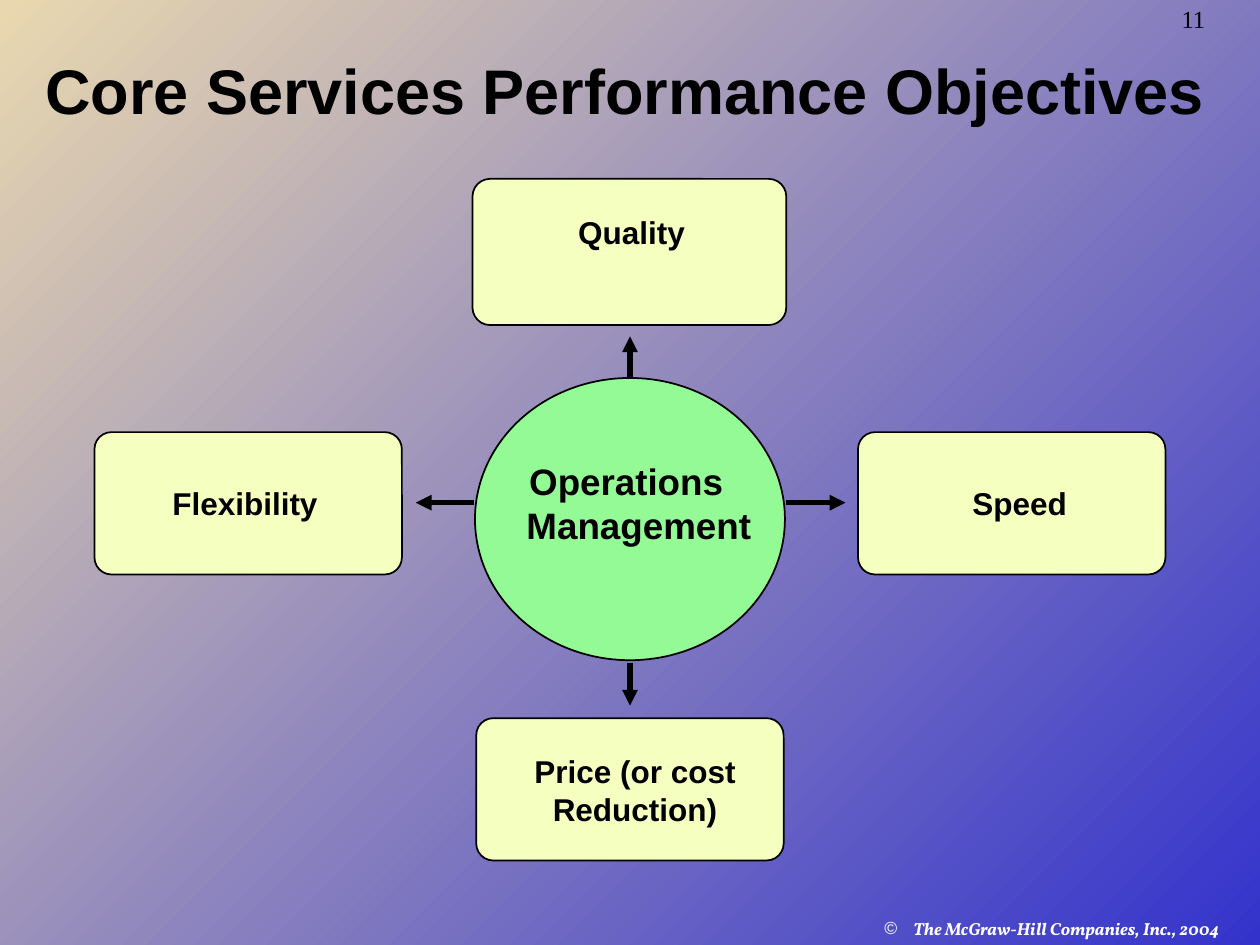
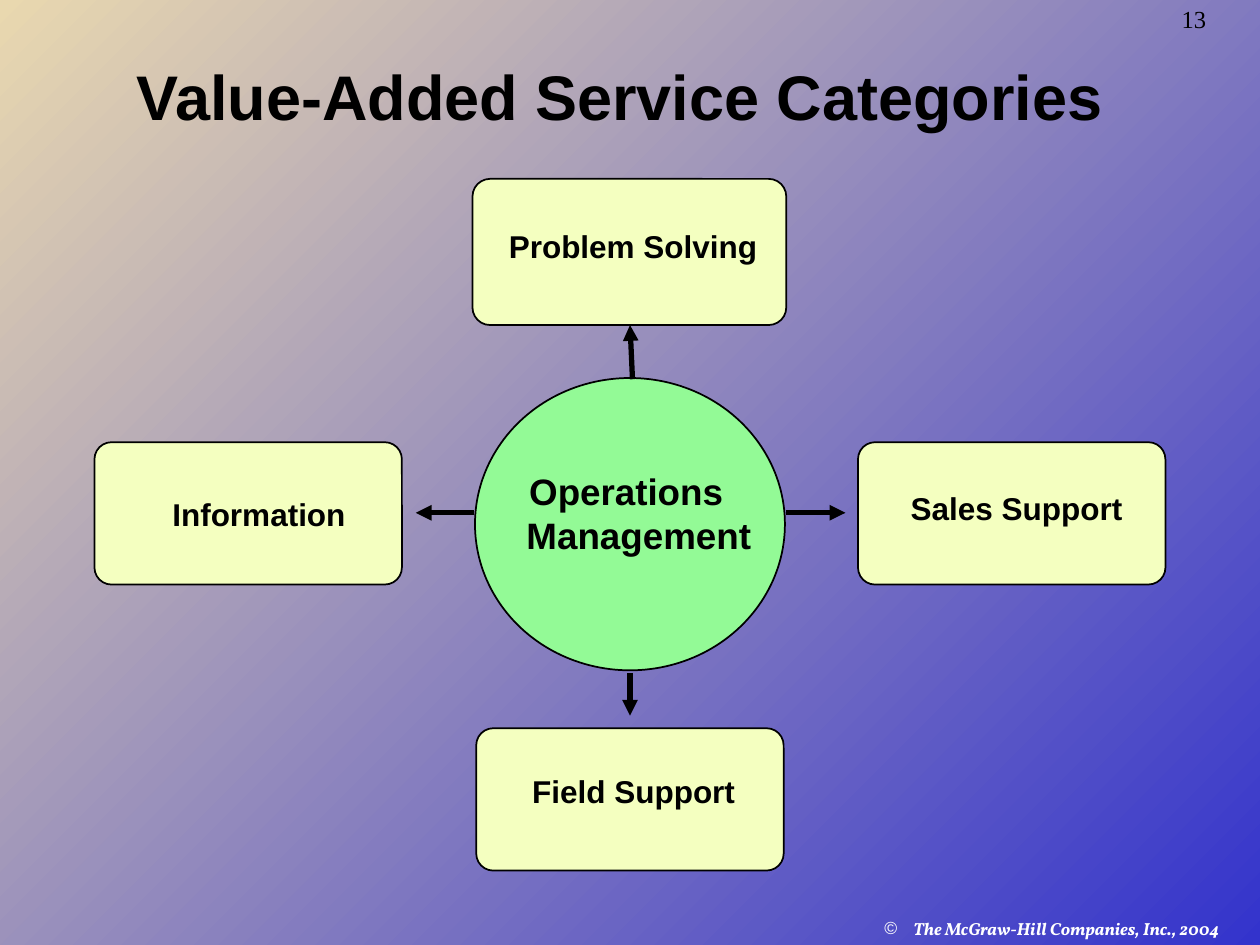
from lxml import etree
from pptx import Presentation
from pptx import util as u
from pptx.dml.color import RGBColor
from pptx.enum import shapes, text
from pptx.oxml.ns import qn

COLORS = {
    "ink": "000000",
    "white": "FFFFFF",
    "hub": "93FA96",
    "card": "F4FFC0",
    "blue": "3333CC",
    "sand": "E9D8AF",
}
LEFT, CENTER = text.PP_ALIGN.LEFT, text.PP_ALIGN.CENTER


def add_text(page, place, lines, size, font="Arial", bold=True, italic=False,
             color="ink", align=CENTER):
    box = page.shapes.add_textbox(*map(u.Inches, place))
    frame = box.text_frame
    frame.word_wrap = True
    for index, line in enumerate(lines):
        para = frame.paragraphs[0] if index == 0 else frame.add_paragraph()
        para.alignment = align
        span = para.add_run()
        span.text = line
        span.font.name = font
        span.font.size = u.Pt(size)
        span.font.bold = bold
        span.font.italic = italic
        span.font.color.rgb = RGBColor.from_string(COLORS[color])
    return frame


def add_panel(page, kind, place, fill):
    panel = page.shapes.add_shape(kind, *map(u.Inches, place))
    panel.shadow.inherit = False
    panel.fill.solid()
    panel.fill.fore_color.rgb = RGBColor.from_string(COLORS[fill])
    panel.line.color.rgb = RGBColor.from_string(COLORS["ink"])
    panel.line.width = u.Pt(1)
    return panel


slides = [
    {
        "number": "11",
        "title": "Core Services Performance Objectives",
        "title_place": (0.25, 0.42, 9.42, 0.58),
        "drop": 0,
        "up_arrow": (5, 3, 5, 2.67),
        "labels": [
            (["Flexibility"], (1.27, 3.79, 1.7, 0.4), LEFT),
            (["Quality"], (4.49, 1.64, 1.5, 0.4), LEFT),
            (["Speed"], (7.62, 3.79, 1.5, 0.4), LEFT),
            (["Price (or cost", "Reduction)"], (4.04, 5.92, 2, 0.7), CENTER),
        ],
    },
    {
        "number": "13",
        "title": "Value-Added Service Categories",
        "title_place": (0.67, 0.42, 8.5, 0.67),
        "drop": 0.08,
        "up_arrow": (5.02, 3.01, 5, 2.58),
        "labels": [
            (["Information"], (1.27, 3.88, 1.8, 0.4), LEFT),
            (["Problem Solving"], (3.94, 1.75, 2.3, 0.4), LEFT),
            (["Sales Support"], (7.13, 3.83, 2.1, 0.4), LEFT),
            (["Field Support"], (4.03, 6.08, 2, 0.4), CENTER),
        ],
    },
]

deck = Presentation()
deck.slide_width = u.Inches(10)
deck.slide_height = u.Inches(7.5)

for content in slides:
    page = deck.slides.add_slide(deck.slide_layouts[6])
    drop = content["drop"]

    backdrop = page.background.fill
    backdrop.gradient()
    backdrop.gradient_angle = 135
    for stop, name in zip(backdrop.gradient_stops, ("blue", "sand")):
        stop.color.rgb = RGBColor.from_string(COLORS[name])

    footer = add_text(page, (6.92, 7.24, 3.08, 0.26), [], 10)
    para = footer.paragraphs[0]
    props = para._p.get_or_add_pPr()
    props.set("marL", str(u.Inches(0.23)))
    props.set("indent", str(-u.Inches(0.23)))
    bullet_color = etree.SubElement(props, qn("a:buClr"))
    etree.SubElement(bullet_color, qn("a:srgbClr"), val=COLORS["white"])
    etree.SubElement(props, qn("a:buFont"), typeface="Arial")
    etree.SubElement(props, qn("a:buChar"), char="©")
    span = para.add_run()
    span.text = "The McGraw-Hill Companies, Inc., 2004"
    span.font.name = "Vollkorn"
    span.font.size = u.Pt(10)
    span.font.bold = span.font.italic = True
    span.font.color.rgb = RGBColor.from_string(COLORS["white"])

    number = add_text(page, (9.28, 0.01, 0.7, 0.31), [content["number"]], 14,
                      font="Times New Roman", bold=False, align=LEFT)
    number.paragraphs[0].line_spacing = 0.9

    title = add_text(page, content["title_place"], [content["title"]], 36)
    title.vertical_anchor = text.MSO_ANCHOR.MIDDLE

    add_panel(page, shapes.MSO_SHAPE.OVAL, (3.77, 3, 2.46, 2.24 + drop), "hub")
    add_text(page, (4.1, 3.59 + drop, 1.74, 0.45), ["Operations"], 21)
    add_text(page, (3.97, 3.94 + drop, 2.2, 0.45), ["Management"], 21)

    cards = [
        (0.75, 3.43 + drop, 2.44, 1.13),
        (3.75, 1.42, 2.49, 1.16),
        (6.81, 3.43 + drop, 2.44, 1.13),
        (3.78, 5.7 + drop, 2.44, 1.13),
    ]
    for card_place, (lines, label_place, align) in zip(cards, content["labels"]):
        card = add_panel(page, shapes.MSO_SHAPE.ROUNDED_RECTANGLE, card_place, "card")
        card.adjustments[0] = 0.12
        add_text(page, label_place, lines, 18, align=align)

    arrows = [
        (3.76, 3.99 + drop, 3.3, 3.99 + drop),
        content["up_arrow"],
        (6.24, 3.99 + drop, 6.71, 3.99 + drop),
        (5, 5.26 + drop, 5, 5.6 + drop),
    ]
    for ends in arrows:
        arrow = page.shapes.add_connector(shapes.MSO_CONNECTOR.STRAIGHT,
                                          *map(u.Inches, ends))
        arrow.line.color.rgb = RGBColor.from_string(COLORS["ink"])
        arrow.line.width = u.Pt(3)
        outline = arrow.element.spPr.find(qn("a:ln"))
        etree.SubElement(outline, qn("a:tailEnd"), type="triangle")
        etree.SubElement(arrow.element.spPr, qn("a:effectLst"))

deck.save("out.pptx")
